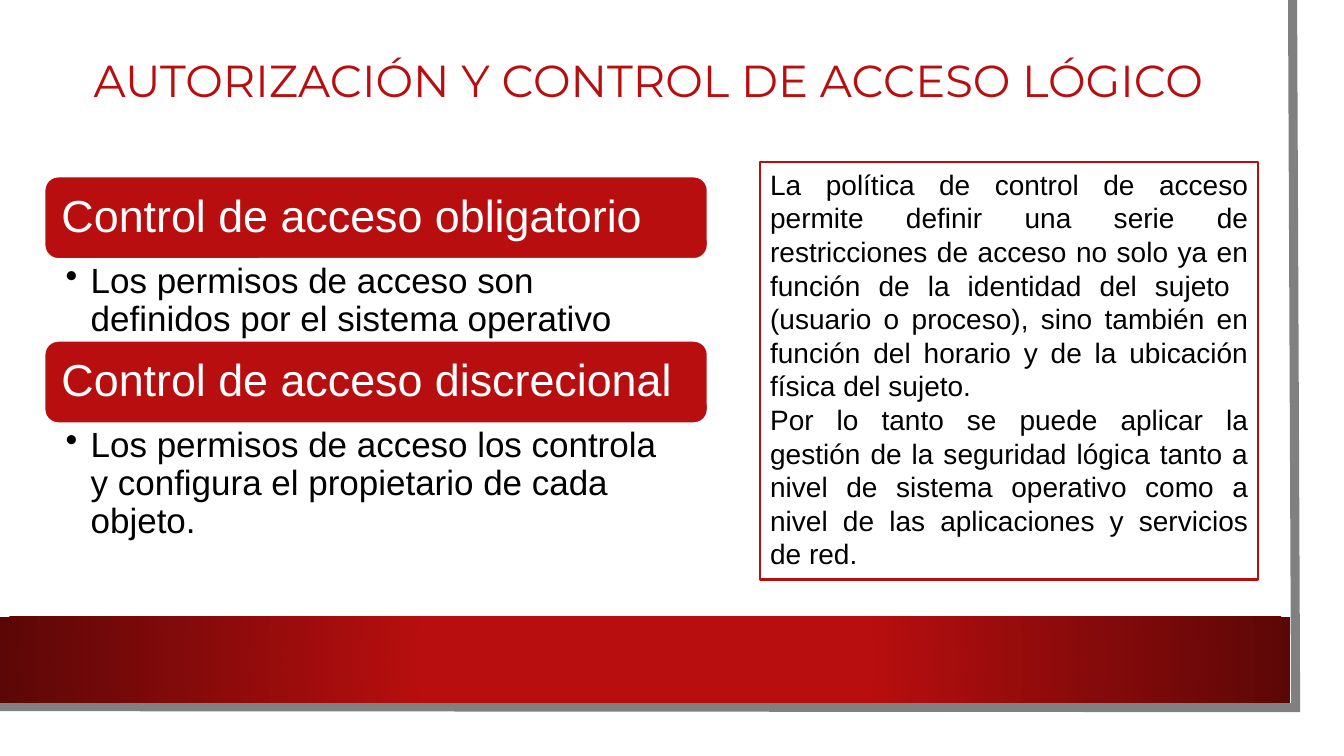
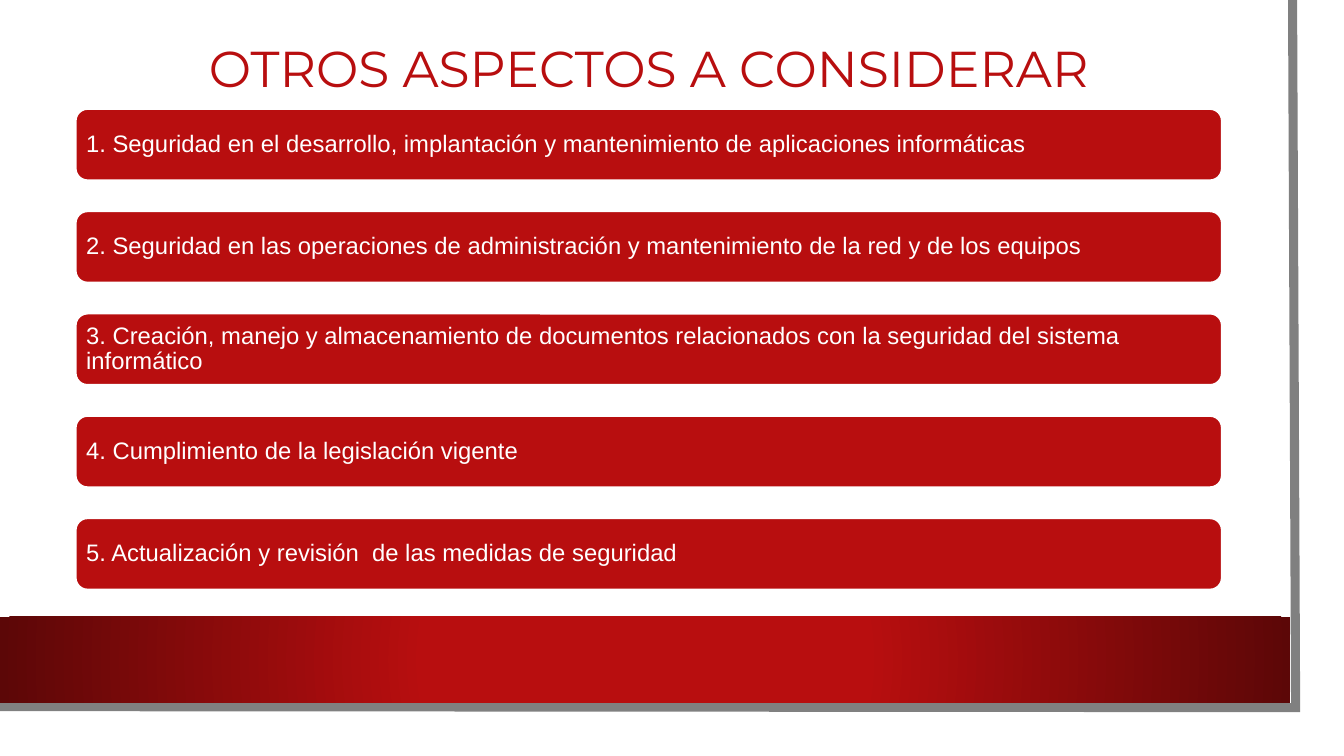
import pptx
import pptx.dml.color
import pptx.enum.shapes
import pptx.enum.text
import pptx.oxml
import pptx.oxml.ns
import pptx.util

Inches = pptx.util.Inches
Pt = pptx.util.Pt
ALIGN = pptx.enum.text.PP_ALIGN
ANCHOR = pptx.enum.text.MSO_ANCHOR
SHAPE = pptx.enum.shapes.MSO_SHAPE
qn = pptx.oxml.ns.qn

COLORS = {
    "red": "B80E0F",
    "dark_red": "5C0707",
    "gray": "808080",
    "white": "FFFFFF",
    "black": "000000",
}
BODY_FONT = "Arial"
TITLE_FONT = "Montserrat"
TITLE_LEFT, TITLE_WIDTH = 0.75, 11.37

ACCESS_CONTROLS = [
    ("Control de acceso obligatorio",
     "Los permisos de acceso son definidos por el sistema operativo", 0.81),
    ("Control de acceso discrecional",
     "Los permisos de acceso los controla y configura el propietario de cada objeto.", 1.2),
]
POLICY = [
    "La política de control de acceso permite definir una serie de restricciones "
    "de acceso no solo ya en función de la identidad del sujeto  (usuario o proceso), "
    "sino también en función del horario y de la ubicación física del sujeto.",
    "Por lo tanto se puede aplicar la gestión de la seguridad lógica tanto a nivel de "
    "sistema operativo como a nivel de las aplicaciones y servicios de red.",
]
ASPECTS = [
    "1. Seguridad en el desarrollo, implantación y mantenimiento de aplicaciones informáticas",
    "2. Seguridad en las operaciones de administración y mantenimiento de la red y de los equipos",
    "3. Creación, manejo y almacenamiento de documentos relacionados con la seguridad "
    "del sistema informático",
    "4. Cumplimiento de la legislación vigente",
    "5. Actualización y revisión  de las medidas de seguridad",
]


def rgb(name):
    return pptx.dml.color.RGBColor.from_string(COLORS[name])


def add_bullet(para, indent):
    properties = para._p.get_or_add_pPr()
    properties.set("marL", str(Inches(indent)))
    properties.set("indent", str(-Inches(indent)))
    bullet = pptx.oxml.parse_xml(f'<a:buChar {pptx.oxml.ns.nsdecls("a")} char="•"/>')
    properties.append(bullet)


def write_text(shape, paragraphs, size, color="black", font=BODY_FONT, align=ALIGN.LEFT,
               anchor=ANCHOR.TOP, margins=(0.1, 0.05, 0.1, 0.05), spacing=None, bullet=None):
    frame = shape.text_frame
    frame.word_wrap = True
    frame.vertical_anchor = anchor
    (frame.margin_left, frame.margin_top,
     frame.margin_right, frame.margin_bottom) = map(Inches, margins)
    for index, text in enumerate(paragraphs):
        para = frame.add_paragraph() if index else frame.paragraphs[0]
        para.alignment = align
        if spacing:
            para.line_spacing = spacing
        if bullet:
            add_bullet(para, bullet)
        span = para.add_run()
        span.text = text
        span.font.size = Pt(size)
        span.font.name = font
        span.font.color.rgb = rgb(color)


def add_box(page, kind, left, top, width, height, fill, line=None):
    box = page.shapes.add_shape(kind, *map(Inches, (left, top, width, height)))
    box.shadow.inherit = False
    box.fill.solid()
    box.fill.fore_color.rgb = rgb(fill)
    if line:
        box.line.color.rgb = rgb(line)
        box.line.width = Pt(1.5)
    else:
        box.line.fill.background()
    return box


def add_text_box(page, left, top, width, height, paragraphs, **text_format):
    box = page.shapes.add_textbox(*map(Inches, (left, top, width, height)))
    write_text(box, paragraphs, **text_format)


def add_bar(page, left, top, width, height, text, size, margin):
    bar = add_box(page, SHAPE.ROUNDED_RECTANGLE, left, top, width, height, "red", "white")
    write_text(bar, [text], size=size, color="white", anchor=ANCHOR.MIDDLE,
               margins=(margin,) * 4, spacing=0.9)


def add_paper_edge(page):
    builder = page.shapes.build_freeform(Inches(12.82), Inches(0))
    corners = [(12.85, 7.02), (-0.03, 7.01)]
    builder.add_line_segments([(Inches(x), Inches(y)) for x, y in corners], close=False)
    edge = builder.convert_to_shape()
    edge.shadow.inherit = False
    edge.fill.background()
    edge.line.color.rgb = rgb("gray")
    edge.line.width = Pt(6.5)
    miter = pptx.oxml.parse_xml(f'<a:miter {pptx.oxml.ns.nsdecls("a")} lim="800000"/>')
    edge._element.spPr.find(qn("a:ln")).append(miter)


def add_footer_band(page):
    band = add_box(page, SHAPE.RECTANGLE, 0, 6.12, 12.8, 0.85, "red")
    band.fill.gradient()
    stops = [(0.34, "red"), (1, "dark_red")]
    for stop, (position, color) in zip(band.fill.gradient_stops, stops):
        stop.position = position
        stop.color.rgb = rgb(color)
    gradient = band._element.spPr.find(qn("a:gradFill"))
    radial = pptx.oxml.parse_xml(
        f'<a:path {pptx.oxml.ns.nsdecls("a")} path="circle">'
        '<a:fillToRect l="50000" t="50000" r="50000" b="50000"/></a:path>')
    gradient.replace(gradient.find(qn("a:lin")), radial)


def add_page(deck, title, top, height, size):
    page = deck.slides.add_slide(deck.slide_layouts[6])
    add_box(page, SHAPE.RECTANGLE, 0, 0, 13.1, 7.27, "white")
    add_paper_edge(page)
    add_footer_band(page)
    add_text_box(page, TITLE_LEFT, top, TITLE_WIDTH, height, [title], size=size, color="red",
                 font=TITLE_FONT, align=ALIGN.CENTER, anchor=ANCHOR.MIDDLE, spacing=0.9)
    return page


def add_access_page(deck):
    page = add_page(deck, "AUTORIZACIÓN Y CONTROL DE ACCESO LÓGICO", 0.23, 1.19, 32)
    left, top, width, bar_height = 0.44, 1.75, 6.58, 0.82
    for heading, detail, detail_height in ACCESS_CONTROLS:
        add_bar(page, left, top, width, bar_height, heading, 32, 0.13)
        top += bar_height
        add_text_box(page, left, top, width, detail_height, [detail], size=25, spacing=0.9,
                     margins=(0.21, 0.04, 0.25, 0.04), bullet=0.25)
        top += detail_height
    policy_box = add_box(page, SHAPE.RECTANGLE, 7.54, 1.61, 4.94, 4.14, "white", "red")
    write_text(policy_box, POLICY, size=20, align=ALIGN.JUSTIFY)


def add_aspects_page(deck):
    page = add_page(deck, "OTROS ASPECTOS A CONSIDERAR", 0.17, 1.07, 36)
    first_top, pitch = 1.08, 1.015
    for index, aspect in enumerate(ASPECTS):
        add_bar(page, TITLE_LEFT, first_top + index * pitch, TITLE_WIDTH, 0.71, aspect, 17, 0.07)


def main():
    deck = pptx.Presentation()
    deck.slide_width = Inches(13.33)
    deck.slide_height = Inches(7.5)
    add_access_page(deck)
    add_aspects_page(deck)
    deck.save("out.pptx")


if __name__ == "__main__":
    main()
